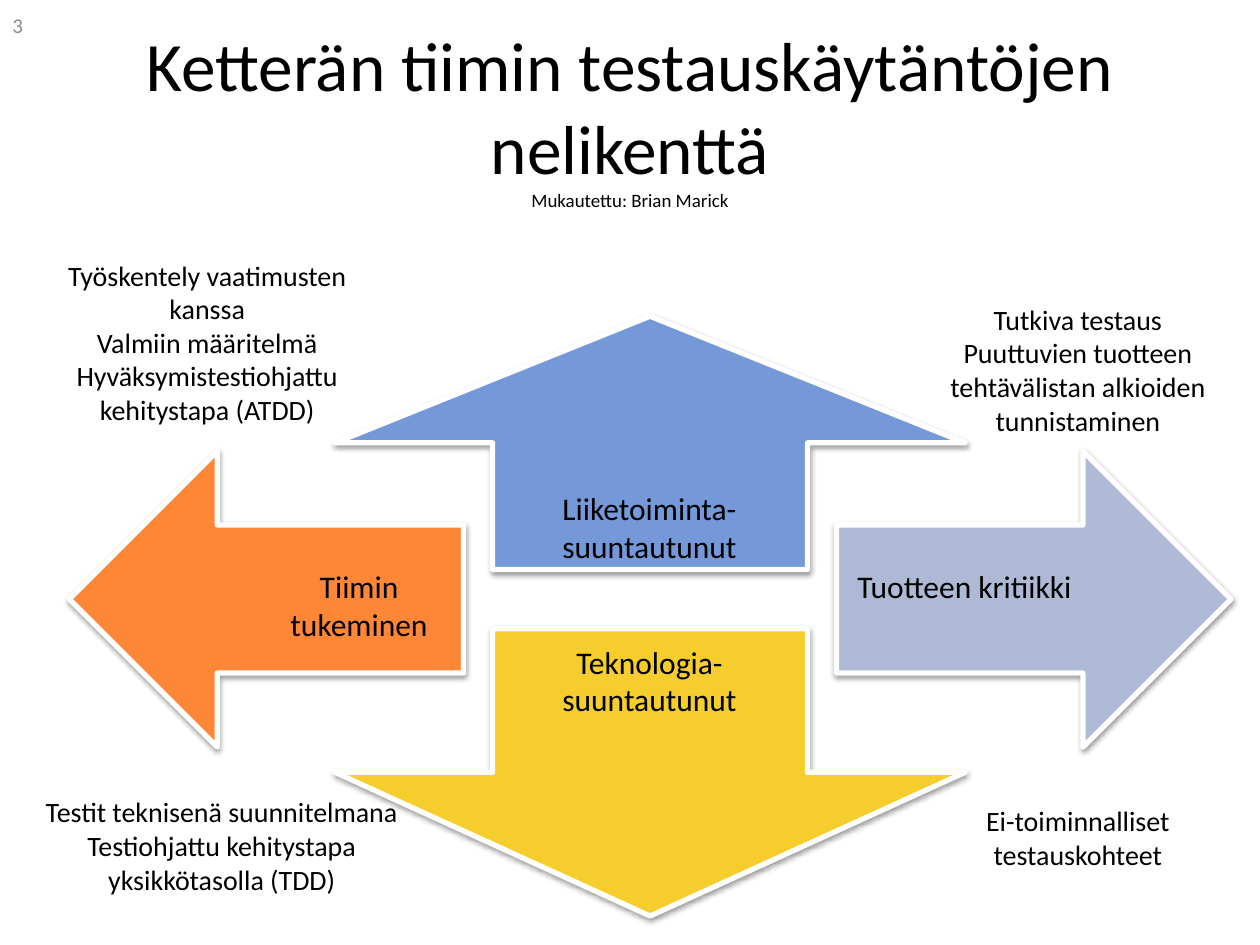
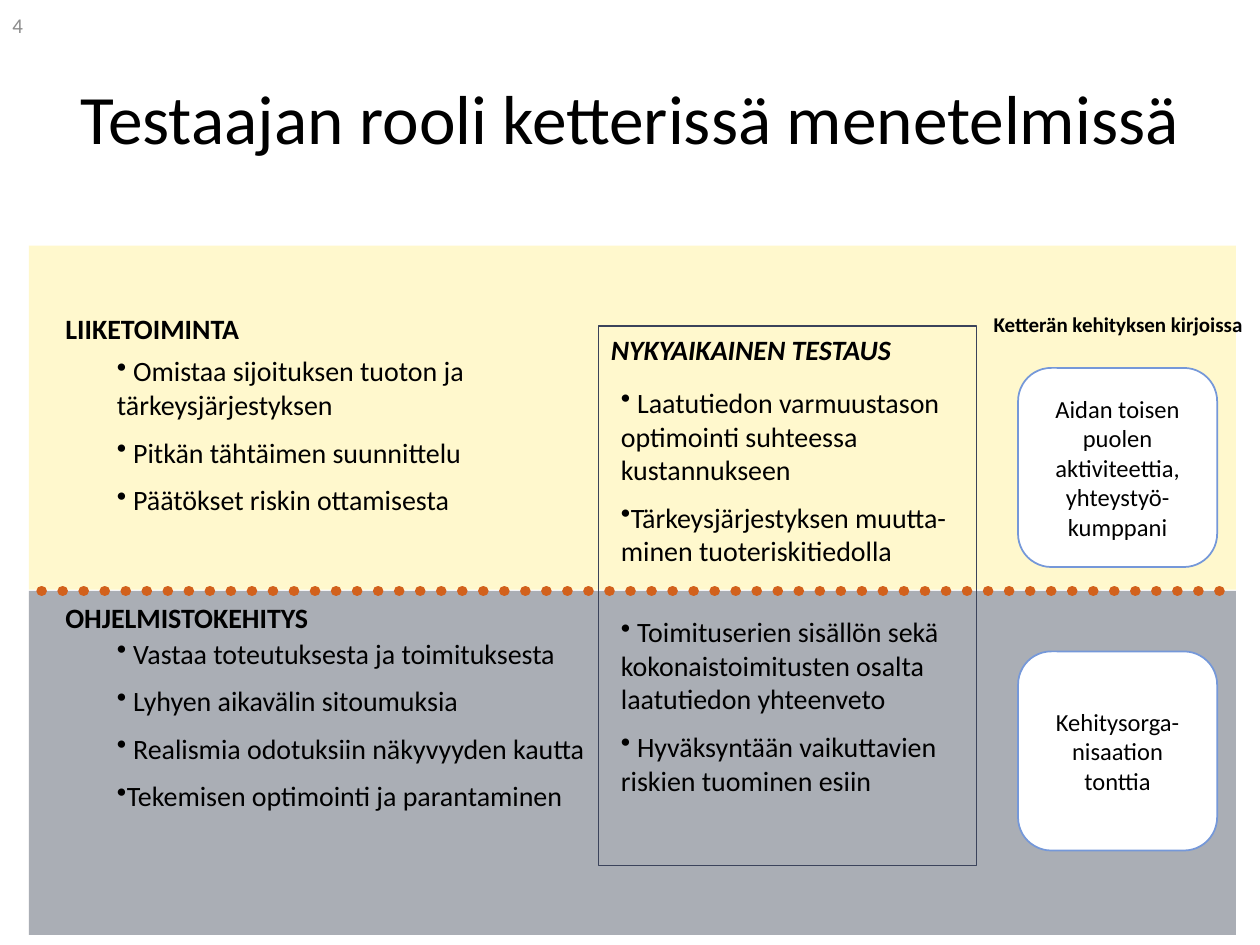
import pptx
import pptx.util
import pptx.dml.color
import pptx.enum.dml
import pptx.enum.shapes
import pptx.enum.text
import pptx.oxml
import pptx.oxml.ns

Inches, Pt = pptx.util.Inches, pptx.util.Pt
RGB = pptx.dml.color.RGBColor.from_string
SHAPE = pptx.enum.shapes.MSO_SHAPE
ALIGN = pptx.enum.text.PP_ALIGN
MIDDLE = pptx.enum.text.MSO_ANCHOR.MIDDLE
NS = pptx.oxml.ns.nsdecls("a")

C = {"black": "000000", "white": "FFFFFF", "number": "8C8C8C",
     "yellow": "F5CD2D", "blue": "7598D9", "lilac": "AEBAD5", "orange": "FE8637",
     "business": "FFF39D", "development": "575F6D", "dots": "D2611C", "frame": "3B435B"}


def write(sp, lines, size, align=ALIGN.LEFT, anchor=None, color="black",
          bullet=False, gap=0, **fmt):
    """Fill a shape's text frame, one paragraph for each line."""
    tf = sp.text_frame
    tf.word_wrap = True
    if anchor is not None:
        tf.vertical_anchor = anchor
    for i, line in enumerate(lines):
        p = tf.paragraphs[0] if i == 0 else tf.add_paragraph()
        p.alignment = align
        if bullet:
            p._p.get_or_add_pPr().append(pptx.oxml.parse_xml(f'<a:buChar {NS} char="•"/>'))
        if i and gap:
            p.space_before = Pt(gap)
        r = p.add_run()
        r.text = line
        for key, value in {"name": "Calibri", "size": Pt(size), **fmt}.items():
            setattr(r.font, key, value)
        r.font.color.rgb = RGB(C[color])


def add_shape(s, kind, at, fill=None, line=None, width=1):
    """Add a preset shape without a shadow."""
    sp = s.shapes.add_shape(kind, *map(Inches, at))
    sp.shadow.inherit = False
    if fill:
        sp.fill.solid()
        sp.fill.fore_color.rgb = RGB(C[fill])
    else:
        sp.fill.background()
    if line:
        sp.line.color.rgb = RGB(C[line])
        sp.line.width = Pt(width)
    else:
        sp.line.fill.background()
    return sp


prs = pptx.Presentation()
prs.slide_width, prs.slide_height = Inches(10), Inches(7.5)

# Titles and slide numbers
slides = []
for number, title, credit in [
        (3, "Ketterän tiimin testauskäytäntöjen nelikenttä", "Mukautettu: Brian Marick"),
        (4, "Testaajan rooli ketterissä menetelmissä", None)]:
    s = prs.slides.add_slide(prs.slide_layouts[5])
    sp = s.shapes.title
    sp.left, sp.top, sp.width, sp.height = map(Inches, (0.5, 0.3, 9, 1.25))
    write(sp, [title], 39.6, ALIGN.CENTER, MIDDLE)
    if credit:
        p = sp.text_frame.paragraphs[0]
        p.add_line_break()
        r = p.add_run()
        r.text = credit
        r.font.name, r.font.size = "Calibri", Pt(10.8)
        r.font.color.rgb = RGB(C["black"])
    sp = s.shapes.add_textbox(0, 0, Inches(2.33), Inches(0.4))
    write(sp, [str(number)], 12, anchor=MIDDLE, color="number")
    slides.append(s)
quadrants, roles = slides

# Four arrows with soft shadows
for kind, at, fill in [
        (SHAPE.DOWN_ARROW, (2.66, 4.99, 5, 2.28), "yellow"),
        (SHAPE.UP_ARROW, (2.66, 2.51, 5, 2.01), "blue"),
        (SHAPE.RIGHT_ARROW, (6.64, 3.58, 3.13, 2.35), "lilac"),
        (SHAPE.LEFT_ARROW, (0.55, 3.58, 3.13, 2.35), "orange")]:
    sp = add_shape(quadrants, kind, at, fill, "white", 3)
    effects = sp._element.spPr.find(pptx.oxml.ns.qn("a:effectLst"))
    effects.append(pptx.oxml.parse_xml(
        f'<a:outerShdw {NS} blurRad="{Pt(3.1)}" dist="{Pt(1.6)}" dir="5400000" rotWithShape="0">'
        '<a:srgbClr val="000000"><a:alpha val="38000"/></a:srgbClr></a:outerShdw>'))

# Arrow labels (18 pt) and quadrant practices (16 pt)
for at, size, lines in [
        ((4.14, 3.83, 2.03, 0.71), 18, ["Liiketoiminta-suuntautunut"]),
        ((4.14, 5.05, 2.03, 0.71), 18, ["Teknologia-suuntautunut"]),
        ((6.64, 4.45, 2.03, 0.4), 18, ["Tuotteen kritiikki"]),
        ((2.03, 4.45, 1.64, 0.71), 18, ["Tiimin tukeminen"]),
        ((0.08, 6.26, 3.36, 0.91), 16, ["Testit teknisenä suunnitelmana",
                                        "Testiohjattu kehitystapa yksikkötasolla (TDD)"]),
        ((7.19, 6.33, 2.73, 0.91), 16, ["Ei-toiminnalliset testauskohteet"]),
        ((0.16, 2, 2.97, 1.72), 16, ["Työskentely vaatimusten kanssa", "Valmiin määritelmä",
                                     "Hyväksymistestiohjattu kehitystapa (ATDD)"]),
        ((7.19, 2.35, 2.73, 1.45), 16, ["Tutkiva testaus",
                                        "Puuttuvien tuotteen tehtävälistan alkioiden tunnistaminen"])]:
    write(quadrants.shapes.add_textbox(*map(Inches, at)), lines, size, ALIGN.CENTER)

# Half-transparent bands split by a dotted fence
for top, fill in [(4.69, "development"), (1.95, "business")]:
    sp = add_shape(roles, SHAPE.RECTANGLE, (0.23, top, 9.58, 2.73), fill)
    color = sp._element.spPr.xpath("./a:solidFill/a:srgbClr")[0]
    color.append(pptx.oxml.parse_xml(f'<a:alpha {NS} val="50000"/>'))

fence = roles.shapes.add_connector(pptx.enum.shapes.MSO_CONNECTOR.STRAIGHT,
                                   *map(Inches, (0.33, 4.69, 9.82, 4.69)))
fence.line.color.rgb = RGB(C["dots"])
fence.line.width = Pt(6)
fence.line.dash_style = pptx.enum.dml.MSO_LINE.ROUND_DOT
fence._element.spPr.xpath("./a:ln")[0].set("cap", "rnd")
fence._element.spPr.append(pptx.oxml.parse_xml(f"<a:effectLst {NS}/>"))

# Frame across both bands
add_shape(roles, SHAPE.RECTANGLE, (4.75, 2.59, 3, 4.28), line="frame")

# Headings
for at, text, size, align, italic in [
        ((0.42, 2.42, 3.42, 0.37), "LIIKETOIMINTA", 16, ALIGN.LEFT, False),
        ((0.42, 4.72, 3.42, 0.37), "OHJELMISTOKEHITYS", 16, ALIGN.LEFT, False),
        ((4.75, 2.59, 3.06, 0.37), "NYKYAIKAINEN TESTAUS", 16, ALIGN.LEFT, True),
        ((7.75, 2.42, 2.25, 0.31), "Ketterän kehityksen kirjoissa", 12, ALIGN.CENTER, False)]:
    write(roles.shapes.add_textbox(*map(Inches, at)), [text], size, align, bold=True, italic=italic)

# Bulleted lists
for at, lines in [
        ((0.83, 2.76, 3.92, 1.45), [" Omistaa sijoituksen tuoton ja tärkeysjärjestyksen",
                                    " Pitkän tähtäimen suunnittelu",
                                    " Päätökset riskin ottamisesta"]),
        ((0.83, 5, 3.92, 1.85), [" Vastaa toteutuksesta ja toimituksesta",
                                 " Lyhyen aikavälin sitoumuksia",
                                 " Realismia odotuksiin näkyvyyden kautta",
                                 "Tekemisen optimointi ja parantaminen"]),
        ((4.83, 3.01, 3.06, 1.59), [" Laatutiedon varmuustason optimointi suhteessa kustannukseen",
                                    "Tärkeysjärjestyksen muutta-minen tuoteriskitiedolla"]),
        ((4.83, 4.83, 2.83, 1.58), [" Toimituserien sisällön sekä kokonaistoimitusten osalta "
                                    "laatutiedon yhteenveto",
                                    " Hyväksyntään vaikuttavien riskien tuominen esiin"])]:
    write(roles.shapes.add_textbox(*map(Inches, at)), lines, 16, bullet=True, gap=8)

# Rounded cards
for top, text in [(2.92, "Aidan toisen puolen aktiviteettia, yhteystyö-kumppani"),
                  (5.17, "Kehitysorga-nisaation tonttia")]:
    sp = add_shape(roles, SHAPE.ROUNDED_RECTANGLE, (8.08, top, 1.58, 1.58), "white", "blue")
    write(sp, [text], 14, ALIGN.CENTER, MIDDLE)

prs.save("out.pptx")
